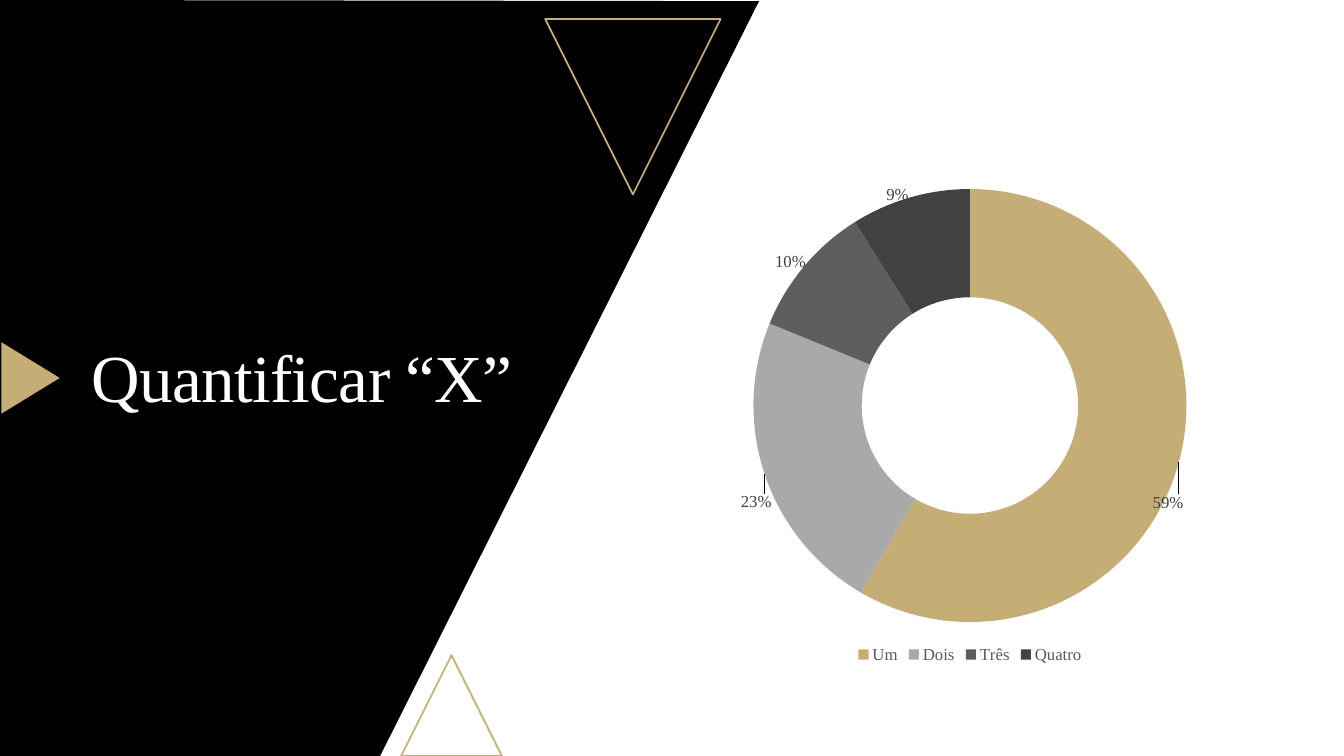
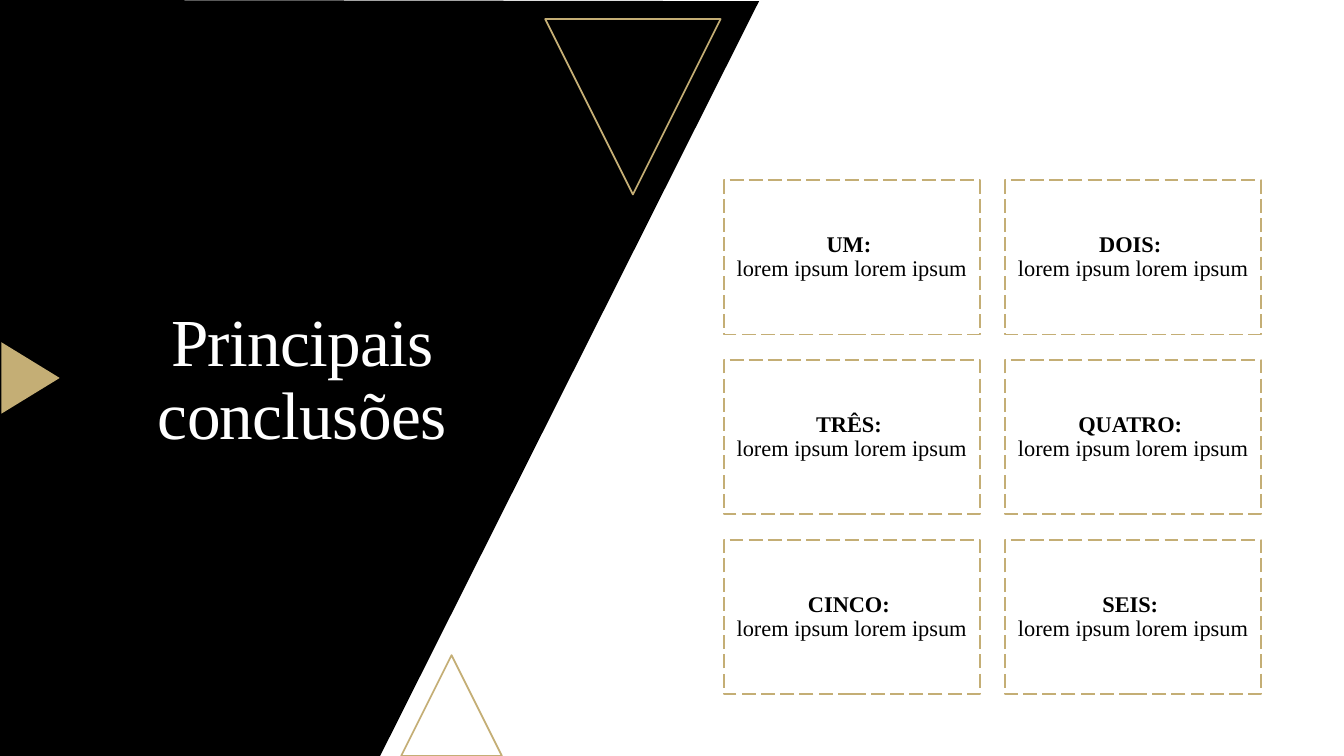
import pptx
import pptx.chart.data
import pptx.dml.color
import pptx.enum.chart
import pptx.enum.dml
import pptx.enum.shapes
import pptx.enum.text
import pptx.oxml
import pptx.oxml.ns
import pptx.util

Cm = pptx.util.Cm
Pt = pptx.util.Pt
RGB = pptx.dml.color.RGBColor
SHAPE = pptx.enum.shapes.MSO_SHAPE
ALIGN = pptx.enum.text.PP_ALIGN
MIDDLE = pptx.enum.text.MSO_ANCHOR.MIDDLE

GOLD = RGB(0xC4, 0xAE, 0x75)
BLACK = RGB(0x00, 0x00, 0x00)
WHITE = RGB(0xFF, 0xFF, 0xFF)
SILVER = RGB(0xA9, 0xA9, 0xA9)
GREY = RGB(0x5E, 0x5E, 0x5E)
COAL = RGB(0x42, 0x42, 0x42)
LABEL = RGB(0x40, 0x40, 0x40)
LEGEND = RGB(0x59, 0x59, 0x59)
FONT = "Times New Roman"
PERCENT = '0"%"'


def make(tag, inner="", **attrs):
    pairs = "".join(f" {key}='{val}'" for key, val in attrs.items())
    names = pptx.oxml.ns.nsdecls("c")
    return pptx.oxml.parse_xml(f"<c:{tag} {names}{pairs}>{inner}</c:{tag}>")


def layout(head="", **spots):
    parts = "".join(f"<c:{key} val='{val}'/>" for key, val in spots.items())
    return make("layout", f"<c:manualLayout>{head}{parts}</c:manualLayout>")


class Deck:
    def __init__(self):
        self.file = pptx.Presentation()
        self.file.slide_width = Cm(33.87)
        self.file.slide_height = Cm(19.05)
        self.slide = None

    def page(self, title):
        self.slide = self.file.slides.add_slide(self.file.slide_layouts[6])
        self.band()
        self.shape(SHAPE.ISOSCELES_TRIANGLE, 10.11, 16.51, 2.54, 2.54, line=GOLD)
        self.shape(SHAPE.ISOSCELES_TRIANGLE, 13.74, 0.48, 4.42, 4.42, line=GOLD, turn=180)
        self.shape(SHAPE.ISOSCELES_TRIANGLE, -0.13, 8.79, 1.8, 1.47, fill=GOLD, turn=90)
        self.title(title)

    def paint(self, shape, fill=None, line=None):
        shape.shadow.inherit = False
        if fill is None:
            shape.fill.background()
        else:
            shape.fill.solid()
            shape.fill.fore_color.rgb = fill
        if line is None:
            shape.line.fill.background()
        else:
            shape.line.color.rgb = line
            shape.line.width = Pt(1.25)

    def band(self):
        pen = self.slide.shapes.build_freeform(0, 0)
        edge = [(19.13, 0.03), (9.58, 19.05), (0, 19.05)]
        pen.add_line_segments([(Cm(x), Cm(y)) for x, y in edge], close=True)
        self.paint(pen.convert_to_shape(), fill=BLACK)

    def shape(self, kind, x, y, w, h, fill=None, line=None, turn=0):
        shape = self.slide.shapes.add_shape(kind, Cm(x), Cm(y), Cm(w), Cm(h))
        self.paint(shape, fill, line)
        shape.rotation = turn
        return shape

    def font(self, font, size, color, bold=False):
        font.name = FONT
        font.size = Pt(size)
        font.bold = bold
        font.color.rgb = color

    def block(self, frame):
        frame.word_wrap = True
        frame.vertical_anchor = MIDDLE
        para = frame.paragraphs[0]
        para.alignment = ALIGN.CENTER
        para.line_spacing = 0.9
        return para

    def run(self, para, text, size, color, bold=False):
        run = para.add_run()
        run.text = text
        self.font(run.font, size, color, bold)
        return run

    def title(self, text):
        box = self.slide.shapes.add_textbox(Cm(1.52), Cm(5.44), Cm(12.19), Cm(8.33))
        run = self.run(self.block(box.text_frame), text, 48, WHITE)
        run._r.get_or_add_rPr().set("spc", "-50")

    def card(self, x, y, w, h, head, body):
        card = self.shape(SHAPE.RECTANGLE, x, y, w, h, line=GOLD)
        card.line.dash_style = pptx.enum.dml.MSO_LINE.LONG_DASH
        frame = card.text_frame
        frame.margin_left = frame.margin_right = Cm(0.17)
        frame.margin_top = frame.margin_bottom = Cm(0.17)
        para = self.block(frame)
        self.run(para, head + ": ", 16, BLACK, bold=True)
        para.add_line_break()
        self.run(para, body, 16, BLACK)

    def ring(self, x, y, w, h, slices):
        data = pptx.chart.data.CategoryChartData()
        data.categories = [name for name, *_ in slices]
        data.add_series("Series 1", [val for _, val, *_ in slices])
        kind = pptx.enum.chart.XL_CHART_TYPE.DOUGHNUT
        chart = self.slide.shapes.add_chart(
            kind, Cm(x), Cm(y), Cm(w), Cm(h), data).chart
        self.font(chart.font, 10, BLACK)
        chart.has_title = False
        chart.has_legend = True
        chart.legend.position = pptx.enum.chart.XL_LEGEND_POSITION.BOTTOM
        chart.legend.include_in_layout = False
        self.font(chart.legend.font, 12, LEGEND)

        plot = chart.plots[0]
        plot.vary_by_categories = True
        series = plot.series[0]
        labels = series.data_labels
        labels.show_value = True
        labels.number_format = PERCENT
        labels.number_format_is_linked = False
        self.font(labels.font, 12, LABEL)
        for i, (_, _, color, _) in enumerate(slices):
            point = series.points[i]
            point.format.fill.solid()
            point.format.fill.fore_color.rgb = color
            point.format.line.fill.background()
            self.font(point.data_label.font, 12, LABEL)

        root = chart.element
        for label, (*_, shift) in zip(root.xpath(".//c:ser//c:dLbl"), slices):
            label.insert(1, layout(x=shift[0], y=shift[1]))
            label.insert(2, make("numFmt", formatCode=PERCENT, sourceLinked=0))
        area = root.xpath(".//c:plotArea")[0]
        for old in area.xpath("./c:layout"):
            area.remove(old)
        head = ("<c:layoutTarget val='inner'/>"
                "<c:xMode val='edge'/><c:yMode val='edge'/>")
        area.insert(0, layout(head, x=0.03, y=0.03, w=0.94, h=0.88))
        root.xpath(".//c:holeSize")[0].set("val", "84")


def main():
    deck = Deck()
    deck.page("Quantificar “X”")
    deck.ring(18.64, 4.37, 11.61, 12.45, [
        ("Um", 59, GOLD, (0.09, 0.11)),
        ("Dois", 23, SILVER, (-0.13, 0.09)),
        ("Três", 10, GREY, (-0.12, -0.08)),
        ("Quatro", 9, COAL, (-0.06, -0.11)),
    ])

    deck.page("Principais conclusões")
    wide, high, gap = 6.45, 3.89, 0.64
    heads = ["UM", "DOIS", "TRÊS", "QUATRO", "CINCO", "SEIS"]
    for i, head in enumerate(heads):
        row, col = divmod(i, 2)
        deck.card(18.24 + col * (wide + gap), 4.54 + row * (high + gap),
                  wide, high, head, "lorem ipsum lorem ipsum")
    deck.file.save("out.pptx")


if __name__ == "__main__":
    main()
